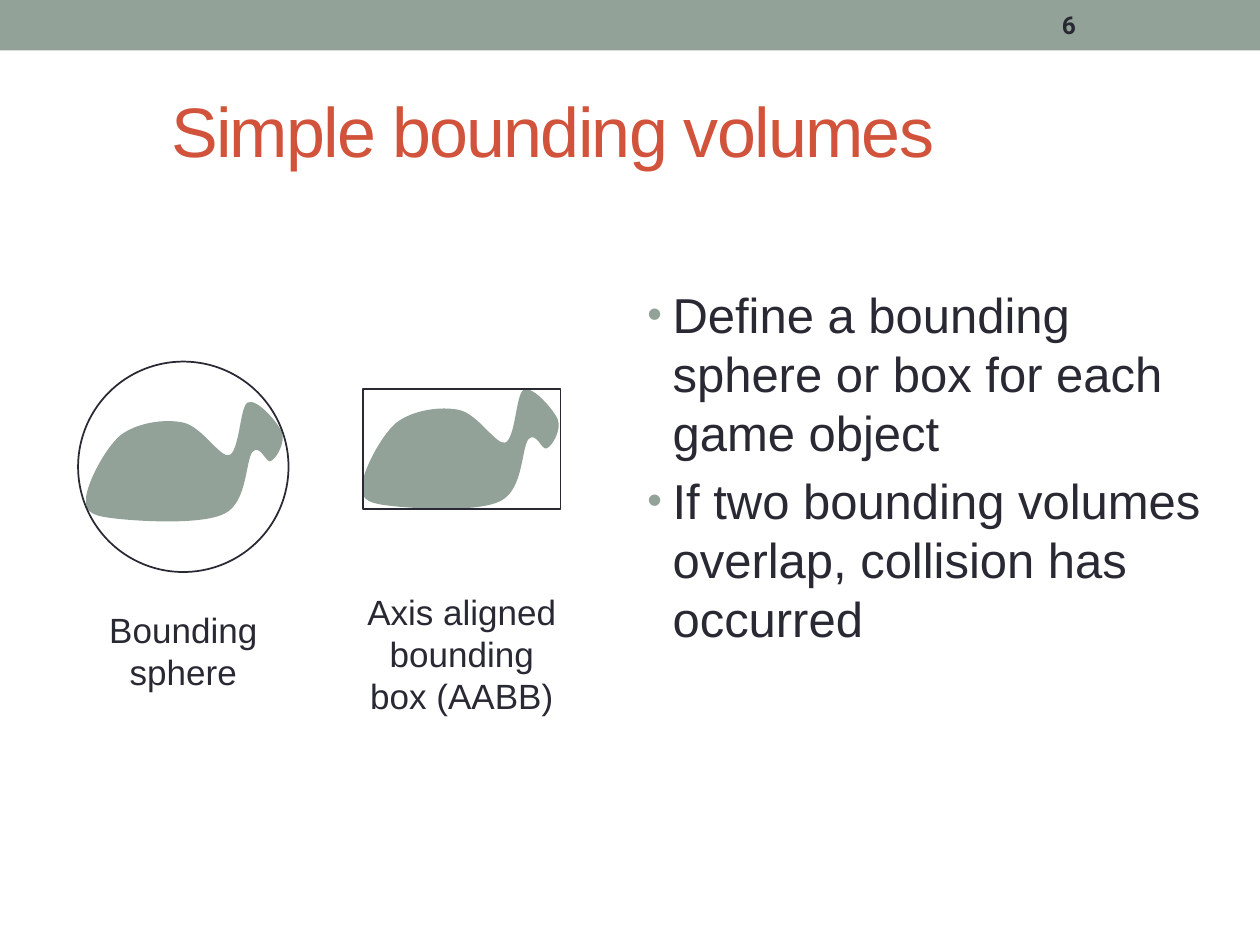
from lxml.etree import SubElement
from pptx import Presentation
from pptx.dml.color import RGBColor
from pptx.enum.shapes import MSO_SHAPE
from pptx.enum.text import MSO_ANCHOR, PP_ALIGN
from pptx.oxml.ns import qn
from pptx.util import Inches, Pt

SAGE, INK, RUST = "93A299", "292934", "D2533C"

# Bezier outline of the animal, relative to its box: start, then curve triples
START = (0.01, 0.79)
CURVES = [
    ((0.01, 0.68), (0.16, 0.39), (0.28, 0.29)),
    ((0.41, 0.19), (0.63, 0.16), (0.77, 0.19)),
    ((0.92, 0.22), (1.06, 0.47), (1.14, 0.45)),
    ((1.23, 0.42), (1.23, 0.06), (1.29, 0.03)),
    ((1.36, 0), (1.52, 0.19), (1.55, 0.26)),
    ((1.58, 0.34), (1.51, 0.46), (1.47, 0.48)),
    ((1.44, 0.51), (1.39, 0.34), (1.32, 0.41)),
    ((1.26, 0.48), (1.28, 0.81), (1.1, 0.9)),
    ((0.92, 0.99), (0.43, 0.96), (0.25, 0.94)),
    ((0.07, 0.92), (0, 0.9), (0.01, 0.79)),
]


def color(code):
    return RGBColor.from_string(code)


def paint(shape, fill=None, line=None):
    shape.shadow.inherit = False
    if fill:
        shape.fill.solid()
        shape.fill.fore_color.rgb = color(fill)
    else:
        shape.fill.background()
    if line:
        shape.line.color.rgb = color(line)
        shape.line.width = Pt(1)
    else:
        shape.line.fill.background()


def style(para, size, code=INK, face="Arial", bold=False):
    for run in para.runs:
        font = run.font
        font.name, font.size, font.bold = face, Pt(size), bold
        font.color.rgb = color(code)


def add_text(slide, box, lines, size, **look):
    frame = slide.shapes.add_textbox(*map(Inches, box)).text_frame
    frame.word_wrap = True
    frame.text = "\n".join(lines)
    for para in frame.paragraphs:
        style(para, size, **look)
    return frame


def add_bar(slide, box, number):
    bar = slide.shapes.add_shape(MSO_SHAPE.RECTANGLE, *map(Inches, box))
    paint(bar, SAGE)
    frame = add_text(slide, (8.33, 0.02, 1.17, 0.36), [number], 14,
                     face="Roboto", bold=True)
    frame.vertical_anchor = MSO_ANCHOR.MIDDLE


def add_title(slide, box, text):
    title = slide.shapes.title
    title.left, title.top, title.width, title.height = map(Inches, box)
    frame = title.text_frame
    frame.text = text
    frame.vertical_anchor = MSO_ANCHOR.MIDDLE
    para = frame.paragraphs[0]
    para.alignment = PP_ALIGN.LEFT
    style(para, 40, RUST)
    para.runs[0].font._element.set("spc", "-100")


def add_points(slide, box, lines):
    frame = add_text(slide, box, lines, 28)
    for i, para in enumerate(frame.paragraphs):
        para.space_before = Pt(5.6 if i else 0)
        props = para._p.get_or_add_pPr()
        props.set("marL", str(Inches(0.2)))
        props.set("indent", str(Inches(-0.2)))
        tint = SubElement(props, qn("a:buClr"))
        SubElement(tint, qn("a:srgbClr")).set("val", SAGE)
        SubElement(props, qn("a:buSzPct")).set("val", "85000")
        SubElement(props, qn("a:buFont")).set("typeface", "Arial")
        SubElement(props, qn("a:buChar")).set("char", "•")


def bend(shape):
    """Turn each three straight segments into one cubic curve."""
    lines = list(shape._element.iter(qn("a:lnTo")))
    for first, *rest in zip(lines[::3], lines[1::3], lines[2::3]):
        curve = first.makeelement(qn("a:cubicBezTo"), {})
        first.addprevious(curve)
        for line in (first, *rest):
            curve.append(line[0])
            line.getparent().remove(line)


def add_animal(slide, left, top):
    knots = [START] + [point for curve in CURVES for point in curve]
    points = [(Inches(left + x), Inches(top + y)) for x, y in knots]
    pen = slide.shapes.build_freeform(*points[0])
    pen.add_line_segments(points[1:], close=True)
    animal = pen.convert_to_shape()
    bend(animal)
    paint(animal, SAGE, SAGE)


def add_volume(slide, kind, box, animal, label, text):
    """Draw an animal in its bounding volume, with a caption below."""
    add_animal(slide, *animal)
    paint(slide.shapes.add_shape(kind, *map(Inches, box)), line=INK)
    frame = add_text(slide, label, [text], 20)
    frame.paragraphs[0].alignment = PP_ALIGN.CENTER


def main():
    deck = Presentation()
    deck.slide_width, deck.slide_height = Inches(10), Inches(7.5)
    slide = deck.slides.add_slide(deck.slide_layouts[5])
    add_bar(slide, (0, 0, 10, 0.4), "6")
    add_title(slide, (1.26, 0.23, 8.52, 1.6), "Simple bounding volumes")
    add_points(slide, (5.04, 2.21, 4.76, 4.5), [
        "Define a bounding sphere or box for each game object",
        "If two bounding volumes overlap, collision has occurred"])
    add_volume(slide, MSO_SHAPE.OVAL, (0.62, 2.87, 1.67, 1.67), (0.68, 3.17),
               (0.72, 4.78, 1.47, 0.77), "Bounding sphere")
    add_volume(slide, MSO_SHAPE.RECTANGLE, (2.88, 3.09, 1.57, 0.95),
               (2.87, 3.07), (2.79, 4.64, 1.75, 1.1),
               "Axis aligned bounding box (AABB)")
    deck.save("out.pptx")


if __name__ == "__main__":
    main()
